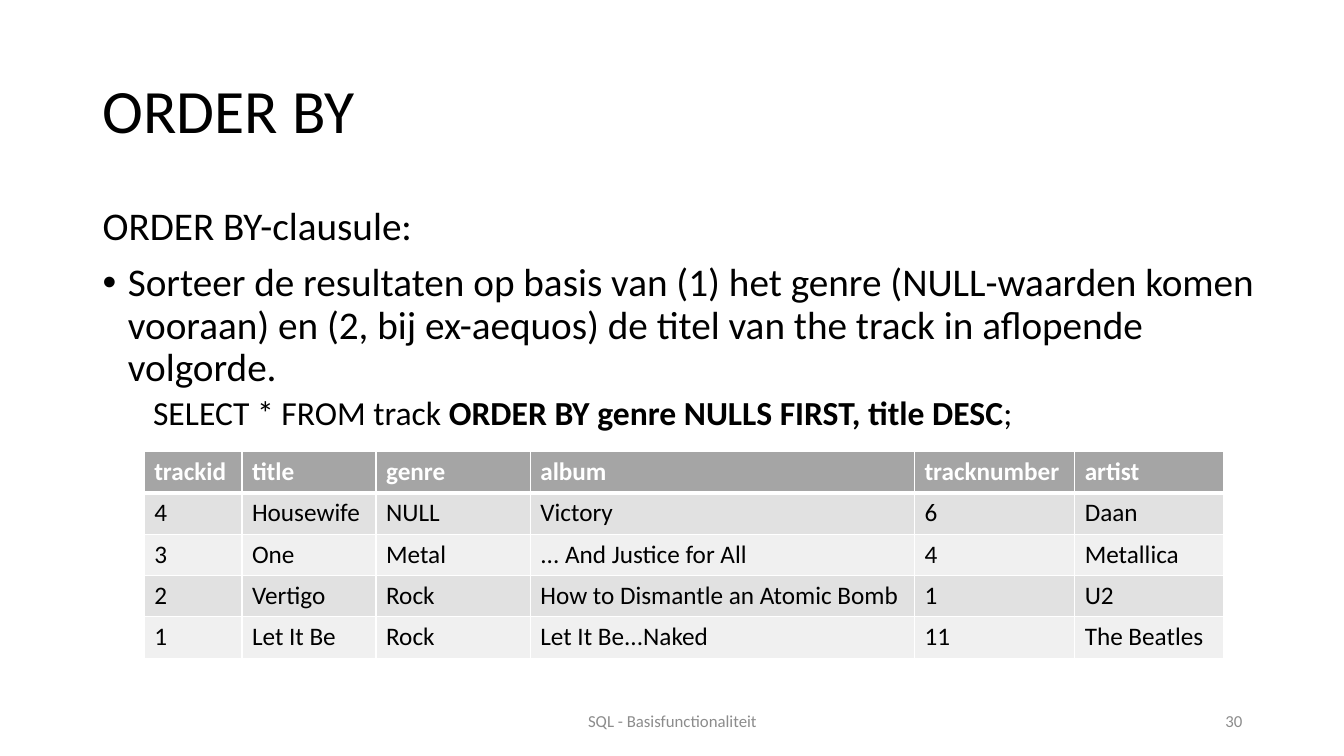
from dataclasses import dataclass

from lxml import etree
from pptx import Presentation
from pptx import util as u
from pptx.dml import color
from pptx.enum import text
from pptx.oxml import ns


@dataclass(frozen=True)
class Theme:
    font: str = "Calibri"
    ink: str = "000000"
    white: str = "FFFFFF"
    muted: str = "8C8C8C"
    header: str = "A5A5A5"
    bands: tuple = ("E1E1E1", "F0F0F0")
    title_size: int = 44
    body_size: int = 28
    code_size: int = 24
    table_size: int = 18
    footer_size: int = 12
    line_spacing: float = 0.9


THEME = Theme()

TRACKS = [
    ("trackid", "title", "genre", "album", "tracknumber", "artist"),
    ("4", "Housewife", "NULL", "Victory", "6", "Daan"),
    ("3", "One", "Metal", "... And Justice for All", "4", "Metallica"),
    ("2", "Vertigo", "Rock", "How to Dismantle an Atomic Bomb", "1", "U2"),
    ("1", "Let It Be", "Rock", "Let It Be...Naked", "11", "The Beatles"),
]
COLUMN_WIDTHS = (0.97, 1.33, 1.53, 3.81, 1.59, 1.48)
ROW_HEIGHT = 0.41


def add_run(paragraph, words, size, ink=THEME.ink, bold=False):
    run = paragraph.add_run()
    run.text = words
    run.font.name = THEME.font
    run.font.size = u.Pt(size)
    run.font.bold = bold
    run.font.color.rgb = color.RGBColor.from_string(ink)


def add_text_frame(slide, left, top, width, height, anchor=text.MSO_ANCHOR.TOP):
    box = slide.shapes.add_textbox(
        u.Inches(left), u.Inches(top), u.Inches(width), u.Inches(height))
    frame = box.text_frame
    frame.word_wrap = True
    frame.vertical_anchor = anchor
    return frame


def set_indent(paragraph, margin, first_line=0, bullet=None):
    properties = paragraph._p.get_or_add_pPr()
    properties.set("marL", str(u.Inches(margin)))
    properties.set("indent", str(u.Inches(first_line)))
    if bullet:
        etree.SubElement(properties, ns.qn("a:buFont"), typeface="Arial")
        etree.SubElement(properties, ns.qn("a:buChar"), char=bullet)


def add_title(slide, words):
    frame = add_text_frame(slide, 0.92, 0.4, 11.5, 1.45, text.MSO_ANCHOR.MIDDLE)
    paragraph = frame.paragraphs[0]
    paragraph.line_spacing = THEME.line_spacing
    add_run(paragraph, words, THEME.title_size)


def add_body(slide):
    frame = add_text_frame(slide, 0.92, 2, 11.74, 2.4)
    intro = frame.paragraphs[0]
    add_run(intro, "ORDER BY-clausule:", THEME.body_size)

    task = frame.add_paragraph()
    set_indent(task, 0.25, -0.25, "•")
    task.space_before = u.Pt(10)
    add_run(task, "Sorteer de resultaten op basis van (1) het genre "
            "(NULL-waarden komen vooraan) en (2, bij ex-aequos) de titel "
            "van the track in aflopende volgorde.", THEME.body_size)

    query = frame.add_paragraph()
    query.level = 1
    set_indent(query, 0.5)
    query.space_before = u.Pt(5)
    add_run(query, "SELECT * FROM track ", THEME.code_size)
    add_run(query, "ORDER BY genre NULLS FIRST, title DESC",
            THEME.code_size, bold=True)
    add_run(query, ";", THEME.code_size)

    for paragraph in frame.paragraphs:
        paragraph.line_spacing = THEME.line_spacing


def set_borders(cell, top, bottom):
    properties = cell._tc.get_or_add_tcPr()
    for side, width in (("L", 1), ("R", 1), ("T", top), ("B", bottom)):
        line = etree.SubElement(
            properties, ns.qn(f"a:ln{side}"), w=str(u.Pt(width)))
        fill = etree.SubElement(line, ns.qn("a:solidFill"))
        etree.SubElement(fill, ns.qn("a:srgbClr"), val=THEME.white)


def add_track_table(slide):
    table = slide.shapes.add_table(
        len(TRACKS), len(COLUMN_WIDTHS), u.Inches(1.43), u.Inches(4.48),
        u.Inches(sum(COLUMN_WIDTHS)), u.Inches(ROW_HEIGHT * len(TRACKS))).table
    table.horz_banding = False
    for column, width in zip(table.columns, COLUMN_WIDTHS):
        column.width = u.Inches(width)
    for index, (row, values) in enumerate(zip(table.rows, TRACKS)):
        row.height = u.Inches(ROW_HEIGHT)
        is_header = index == 0
        background = THEME.header if is_header else THEME.bands[(index - 1) % 2]
        ink = THEME.white if is_header else THEME.ink
        for cell, value in zip(row.cells, values):
            set_borders(cell, 3 if index == 1 else 1, 3 if is_header else 1)
            cell.fill.solid()
            cell.fill.fore_color.rgb = color.RGBColor.from_string(background)
            add_run(cell.text_frame.paragraphs[0], value,
                    THEME.table_size, ink, is_header)


def add_footer(slide, words, left, width, alignment):
    frame = add_text_frame(slide, left, 6.95, width, 0.4, text.MSO_ANCHOR.MIDDLE)
    paragraph = frame.paragraphs[0]
    paragraph.alignment = alignment
    add_run(paragraph, words, THEME.footer_size, THEME.muted)


def main():
    presentation = Presentation()
    presentation.slide_width = u.Inches(13.33)
    presentation.slide_height = u.Inches(7.5)
    slide = presentation.slides.add_slide(presentation.slide_layouts[6])
    add_title(slide, "ORDER BY")
    add_body(slide)
    add_track_table(slide)
    add_footer(slide, "SQL - Basisfunctionaliteit", 4.42, 4.5,
               text.PP_ALIGN.CENTER)
    add_footer(slide, "30", 9.42, 3, text.PP_ALIGN.RIGHT)
    presentation.save("out.pptx")


if __name__ == "__main__":
    main()
